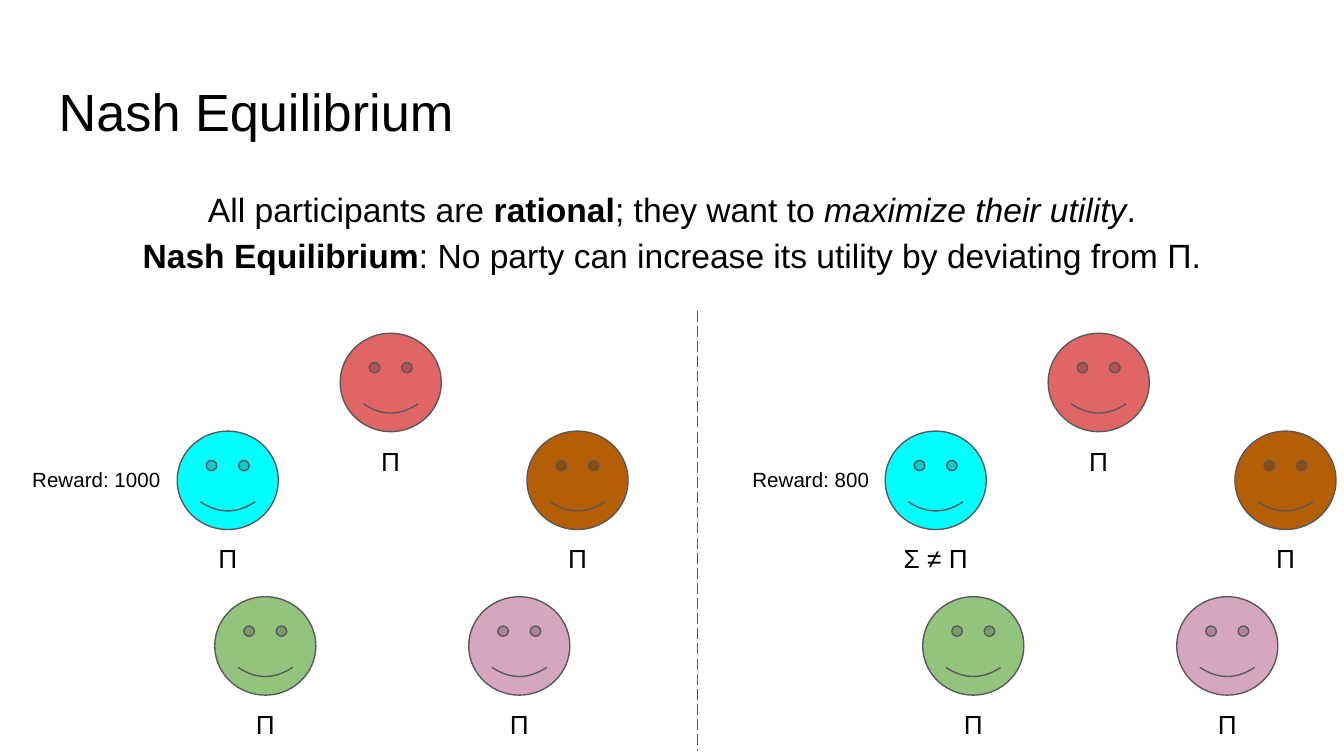
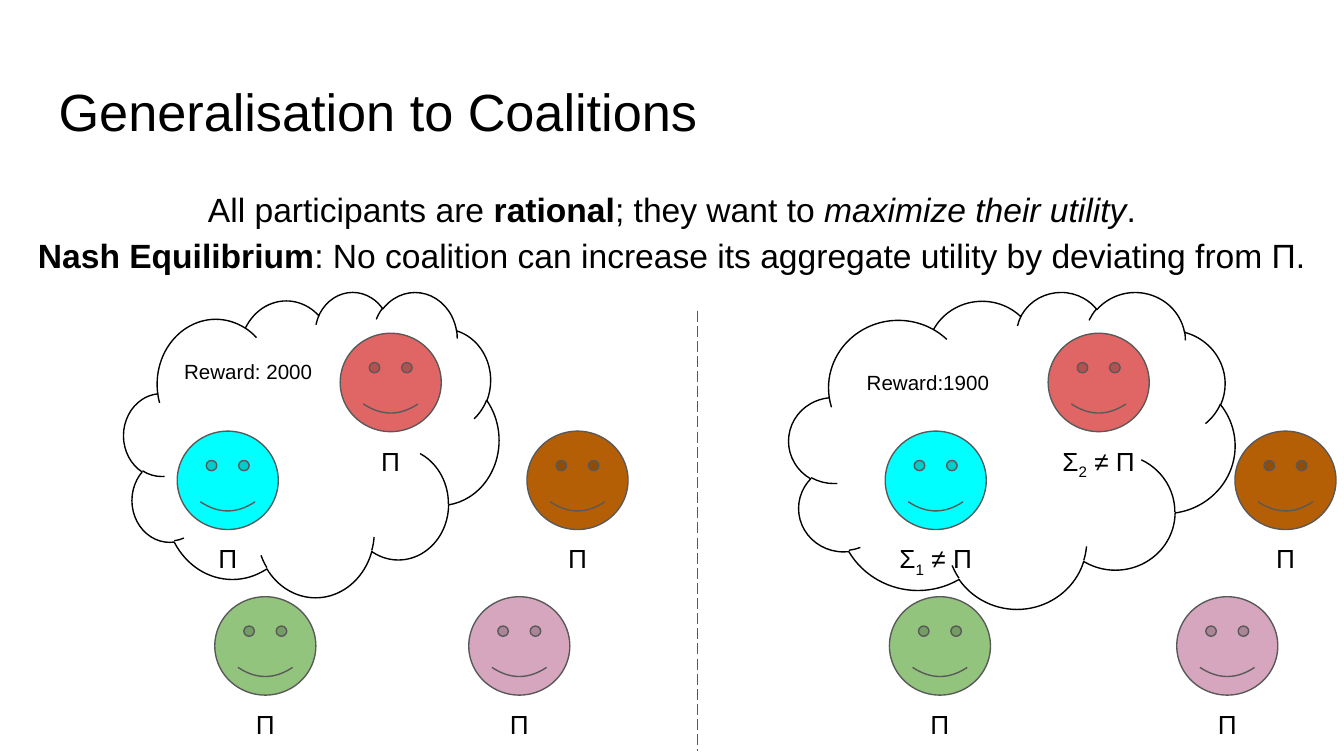
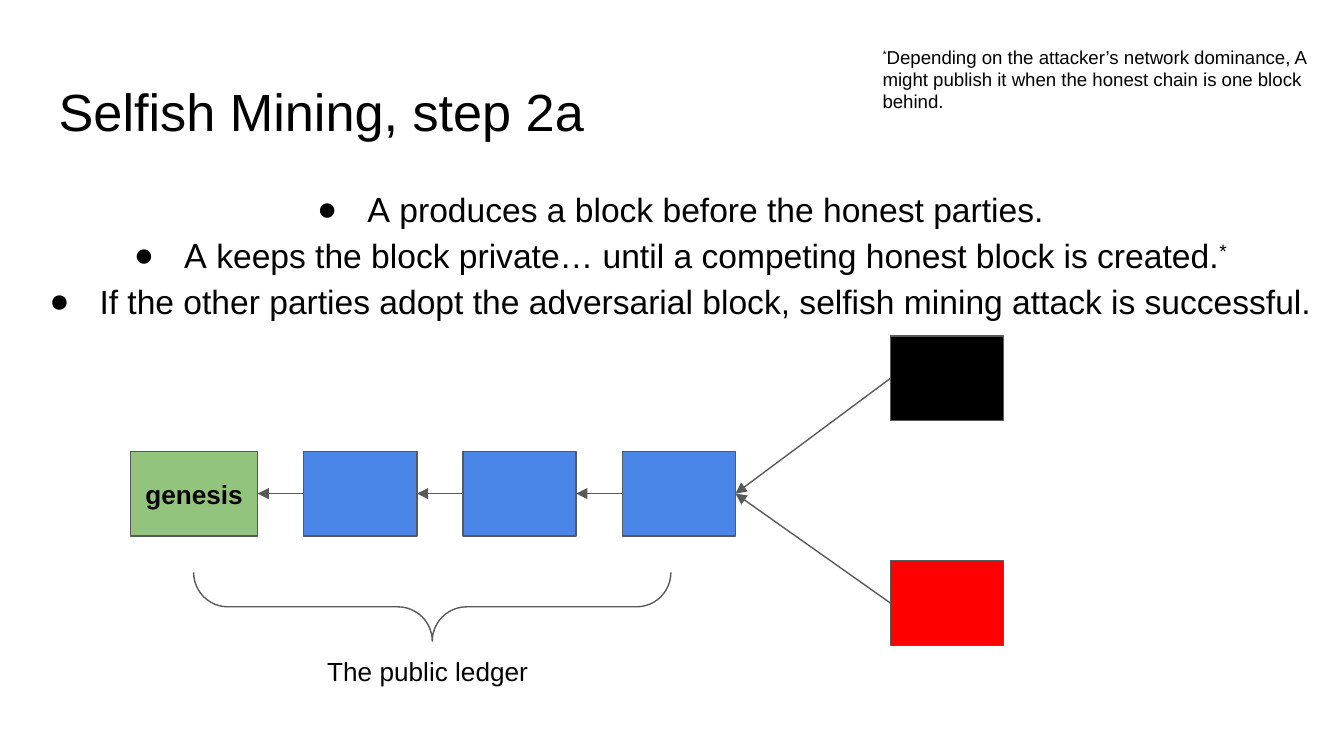
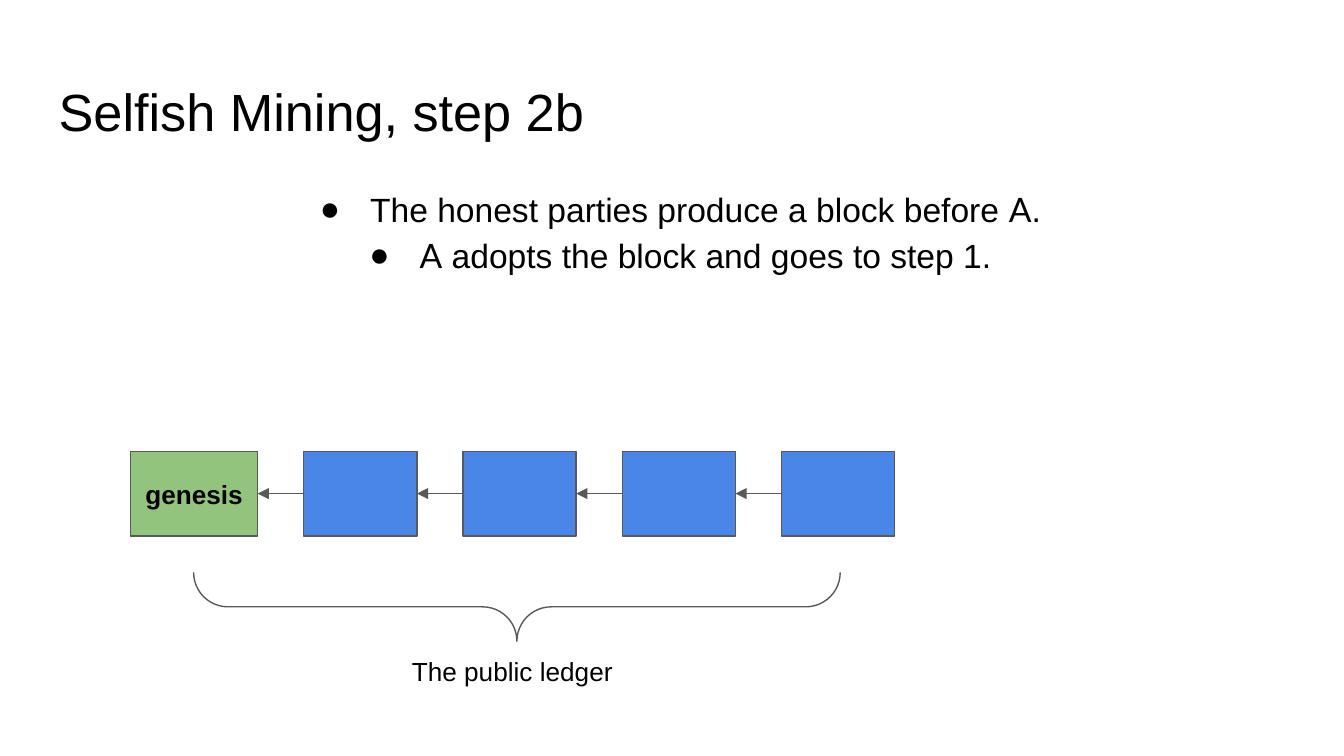
from dataclasses import dataclass, replace

import lxml.etree
import pptx
import pptx.dml.color
import pptx.enum.dml
import pptx.enum.shapes
import pptx.enum.text
import pptx.oxml.ns
import pptx.util

Cm = pptx.util.Cm
SHAPE = pptx.enum.shapes.MSO_SHAPE
ALIGN = pptx.enum.text.PP_ALIGN

# Shared look
BLACK, GREY, RED = "000000", "595959", "FF0000"
GREEN, BLUE = "93C47D", "4A86E8"
FONT, LETTER_FONT = "Arial", "Lato"
SLIDE_W, SLIDE_H = 25.4, 14.29

# Faces, in cm
FACE_W, FACE_H = 1.91, 1.86
LABEL_H = 1.12
CROWD_SHIFT = 13.38

# Block chain, in cm
GENESIS_X, GENESIS_W = 2.47, 2.4
BLOCK_W, BLOCK_H, BLOCK_GAP = 2.14, 1.6, 0.87
CHAIN_Y, FORK_X = 8.53, 16.83


@dataclass(frozen=True)
class Box:
    """Place and size in centimetres."""
    x: float
    y: float
    w: float
    h: float

    def emu(self) -> tuple:
        return Cm(self.x), Cm(self.y), Cm(self.w), Cm(self.h)


@dataclass(frozen=True)
class Run:
    text: str
    bold: bool = False
    italic: bool = False
    font: str = FONT
    baseline: int = 0


@dataclass(frozen=True)
class Face:
    color: str
    x: float
    y: float
    label: tuple = (Run("Π"),)
    label_w: float = 1.0


CYAN_FACE = Face("00FFFF", 3.35, 8.15)
RED_FACE = Face("E06666", 6.43, 6.3)
GREEN_FACE = Face(GREEN, 4.06, 11.28)
PINK_FACE = Face("D5A6BD", 8.86, 11.28)
BROWN_FACE = Face("B45F06", 9.96, 8.15)
CROWD = (CYAN_FACE, RED_FACE, GREEN_FACE, PINK_FACE, BROWN_FACE)

LETTER_A = Run("A", font=LETTER_FONT)


def rgb(color: str) -> pptx.dml.color.RGBColor:
    return pptx.dml.color.RGBColor.from_string(color)


# Text
def add_bullet(p) -> None:
    pPr = p._p.get_or_add_pPr()
    pPr.set("marL", str(Cm(1.27)))
    pPr.set("indent", str(Cm(-0.95)))
    qn = pptx.oxml.ns.qn
    clr = lxml.etree.SubElement(pPr, qn("a:buClr"))
    lxml.etree.SubElement(clr, qn("a:srgbClr"), val=BLACK)
    lxml.etree.SubElement(pPr, qn("a:buFont"), typeface=FONT)
    lxml.etree.SubElement(pPr, qn("a:buChar"), char="●")


def write(tf, *paragraphs: tuple, size: float, align=ALIGN.LEFT, spacing: float = 1.0,
          after: float = 0, bullets: bool = False) -> None:
    """Fill a text frame; each paragraph is a tuple of runs."""
    tf.word_wrap = True
    tf.margin_left = tf.margin_right = tf.margin_top = tf.margin_bottom = Cm(0.25)
    for i, runs in enumerate(paragraphs):
        p = tf.add_paragraph() if i else tf.paragraphs[0]
        p.alignment = align
        p.line_spacing = spacing
        p.space_after = pptx.util.Pt(after)
        if bullets:
            add_bullet(p)
        for run in runs:
            if run.text == "\n":
                p.add_line_break()
                continue
            r = p.add_run()
            r.text = run.text
            r.font.size = pptx.util.Pt(size)
            r.font.name = run.font
            r.font.bold, r.font.italic = run.bold, run.italic
            r.font.color.rgb = rgb(BLACK)
            if run.baseline:
                r._r.get_or_add_rPr().set("baseline", str(run.baseline * 1000))


def add_text(s, box: Box, *paragraphs: tuple, grow: bool = True, **fmt) -> None:
    tf = s.shapes.add_textbox(*box.emu()).text_frame
    write(tf, *paragraphs, **fmt)
    if grow:
        tf.auto_size = pptx.enum.text.MSO_AUTO_SIZE.SHAPE_TO_FIT_TEXT


def add_reward(s, x: float, y: float, text: str, w: float = 3.0) -> None:
    add_text(s, Box(x, y, w, 0.99), (Run(text),), size=11)


def add_page(prs, title: str, *body: tuple, wide: bool = False, **fmt):
    """Add a slide with its title and centred body."""
    s = prs.slides.add_slide(prs.slide_layouts[6])
    add_text(s, Box(0.86, 1.24, 23.67, 1.6), (Run(title),), size=28, grow=False)
    margin = 0.18 if wide else 0.86
    add_text(s, Box(margin, 3.2, SLIDE_W - 2 * margin, 1.27), *body, size=18,
             align=ALIGN.CENTER, spacing=1.15, grow=False, **fmt)
    return s


# Shapes and lines
def add_shape(s, kind, box: Box, fill: str = "", line: str = GREY):
    sp = s.shapes.add_shape(kind, *box.emu())
    sp.shadow.inherit = False
    if fill:
        sp.fill.solid()
        sp.fill.fore_color.rgb = rgb(fill)
    else:
        sp.fill.background()
    sp.line.color.rgb = rgb(line)
    sp.line.width = pptx.util.Pt(0.75)
    return sp


def add_line(s, x1: float = 0, y1: float = 0, x2: float = 0, y2: float = 0):
    c = s.shapes.add_connector(pptx.enum.shapes.MSO_CONNECTOR.STRAIGHT,
                               Cm(x1), Cm(y1), Cm(x2), Cm(y2))
    c.line.color.rgb = rgb(GREY)
    c.line.width = pptx.util.Pt(0.75)
    lxml.etree.SubElement(c._element.spPr, pptx.oxml.ns.qn("a:effectLst"))
    return c


def add_arrow(s, source, target) -> None:
    """Arrow from the left side of source to the right side of target."""
    c = add_line(s)
    c.begin_connect(source, 1)
    c.end_connect(target, 3)
    lxml.etree.SubElement(c.line._get_or_add_ln(), pptx.oxml.ns.qn("a:tailEnd"),
                          type="triangle")


# Faces
def add_crowd(s, faces: tuple, shift: float = 0) -> None:
    for face in faces:
        x = face.x + shift
        sp = add_shape(s, SHAPE.SMILEY_FACE, Box(x, face.y, FACE_W, FACE_H), face.color)
        sp.adjustments[0] = 0.047
        label_x = x + (FACE_W - face.label_w) / 2
        add_text(s, Box(label_x, face.y + FACE_H, face.label_w, LABEL_H), face.label,
                 size=14, align=ALIGN.CENTER)


def add_divider(s) -> None:
    line = add_line(s, 13.18, 5.87, 13.18, 14.2).line
    line.dash_style = pptx.enum.dml.MSO_LINE.LONG_DASH


def deviate(face: Face, index: str = "") -> Face:
    """The same face, following another strategy."""
    runs = (Run("Σ"), Run(index, baseline=-25), Run(" ≠ Π")) if index else (Run("Σ ≠ Π"),)
    return replace(face, label=runs, label_w=2.0)


def equilibrium(claim: str) -> tuple:
    return (Run("All participants are "), Run("rational", bold=True),
            Run("; they want to "), Run("maximize their utility", italic=True), Run("."),
            Run("\n"), Run("Nash Equilibrium", bold=True), Run(claim))


# Block chain
def add_block(s, x: float, y: float, color: str = BLUE, w: float = BLOCK_W):
    return add_shape(s, SHAPE.RECTANGLE, Box(x, y, w, BLOCK_H), color)


def add_chain(s, count: int):
    """Draw genesis and the blocks after it; return the last block."""
    last = add_block(s, GENESIS_X, CHAIN_Y, GREEN, GENESIS_W)
    write(last.text_frame, (Run("genesis", bold=True),), size=14, align=ALIGN.CENTER)
    last.text_frame.vertical_anchor = pptx.enum.text.MSO_ANCHOR.MIDDLE
    first_x = GENESIS_X + GENESIS_W + BLOCK_GAP
    for i in range(count):
        block = add_block(s, first_x + i * (BLOCK_W + BLOCK_GAP), CHAIN_Y)
        add_arrow(s, block, last)
        last = block
    return last


def add_ledger_brace(s, length: float) -> None:
    thick, label_w = 1.3, 4.47
    center_x, center_y = 3.66 + length / 2, 11.47
    sp = add_shape(s, SHAPE.LEFT_BRACE,
                   Box(center_x - thick / 2, center_y - length / 2, thick, length))
    sp.rotation = 270
    sp.adjustments[0] = sp.adjustments[1] = 0.5
    add_text(s, Box(center_x - label_w / 2, 12.14, label_w, LABEL_H),
             (Run("The public ledger"),), size=14)


# Slides
def nash_slide(prs) -> None:
    s = add_page(prs, "Nash Equilibrium", equilibrium(
        ": No party can increase its utility by deviating from Π."), after=16)
    add_crowd(s, CROWD)
    add_reward(s, 0.36, 8.59, "Reward: 1000")
    add_crowd(s, (deviate(CYAN_FACE),) + CROWD[1:], CROWD_SHIFT)
    add_reward(s, 13.97, 8.59, "Reward: 800", w=2.79)
    add_divider(s)


def coalition_slide(prs) -> None:
    s = add_page(prs, "Generalisation to Coalitions", equilibrium(
        ": No coalition can increase its aggregate utility by deviating from Π."),
        wide=True, after=16)
    add_crowd(s, CROWD)
    add_reward(s, 3.23, 6.55, "Reward: 2000")
    coalition = (deviate(CYAN_FACE, "1"), deviate(RED_FACE, "2"))
    others = (replace(GREEN_FACE, x=3.43), PINK_FACE, BROWN_FACE)
    add_crowd(s, coalition + others, CROWD_SHIFT)
    add_divider(s)
    add_reward(s, 16.13, 6.76, "Reward:1900")
    for cloud in (Box(2.34, 5.51, 7.09, 5.77), Box(14.91, 5.51, 8.43, 5.99)):
        add_shape(s, SHAPE.CLOUD, cloud, line=BLACK)


def private_block_slide(prs) -> None:
    star = Run("*", baseline=30)
    s = add_page(
        prs, "Selfish Mining, step 2a",
        (LETTER_A, Run(" produces a block before the honest parties.")),
        (LETTER_A, Run(" keeps the block private… until a competing honest block is created."),
         star),
        (Run("If the other parties adopt the adversarial block, "
             "selfish mining attack is successful."),),
        wide=True, bullets=True)
    last = add_chain(s, 3)
    for y, color in ((10.6, RED), (6.35, BLACK)):
        add_arrow(s, add_block(s, FORK_X, y, color), last)
    add_ledger_brace(s, 9.02)
    add_text(s, Box(16.43, 0.61, 8.81, 1.8),
             (star, Run("Depending on the attacker’s network dominance, A might publish it "
                        "when the honest chain is one block behind.")), size=10)


def honest_block_slide(prs) -> None:
    s = add_page(
        prs, "Selfish Mining, step 2b",
        (Run("The honest parties produce a block before "), LETTER_A, Run(".")),
        (LETTER_A, Run(" adopts the block and goes to step 1.")),
        bullets=True)
    add_chain(s, 4)
    add_ledger_brace(s, 12.22)


def main() -> None:
    prs = pptx.Presentation()
    prs.slide_width, prs.slide_height = Cm(SLIDE_W), Cm(SLIDE_H)
    nash_slide(prs)
    coalition_slide(prs)
    private_block_slide(prs)
    honest_block_slide(prs)
    prs.save("out.pptx")


if __name__ == "__main__":
    main()
